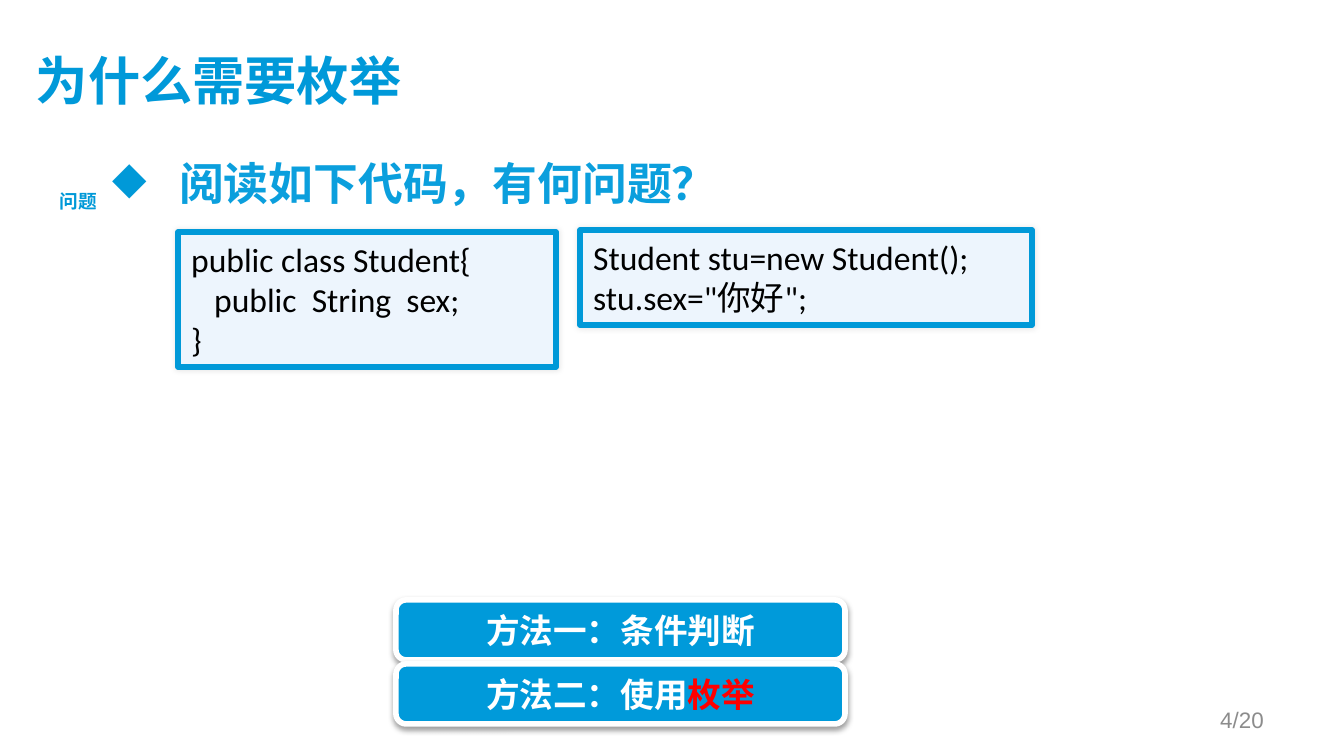
from lxml.etree import SubElement
from pptx import Presentation
from pptx.dml.color import RGBColor
from pptx.enum.shapes import MSO_SHAPE
from pptx.enum.text import MSO_ANCHOR, PP_ALIGN
from pptx.oxml.ns import qn
from pptx.util import Emu, Pt

EMU_PER_PX = 914400 / 134.4
TITLE_BLUE = RGBColor(0x00, 0x99, 0xD9)
BLUE = RGBColor(0x00, 0x99, 0xD8)
QUESTION_BLUE = RGBColor(0x0B, 0x9F, 0xDD)
METHOD_BLUE = RGBColor(0x00, 0x9A, 0xDA)
PALE_BLUE = RGBColor(0xED, 0xF5, 0xFD)
WHITE = RGBColor(0xFF, 0xFF, 0xFF)
BLACK = RGBColor(0x00, 0x00, 0x00)
RED = RGBColor(0xFF, 0x00, 0x00)
GREY = RGBColor(0x8C, 0x8C, 0x8C)
CJK_FONT = "Noto Sans CJK SC"


def px(length):
    return Emu(round(length * EMU_PER_PX))


def set_all(target, values):
    for name, value in values.items():
        setattr(target, name, value)


def add_run(paragraph, text, color, **font_format):
    run = paragraph.add_run()
    run.text = text
    set_all(run.font, font_format)
    run.font.color.rgb = color
    SubElement(run.font._element, qn("a:ea"), typeface=CJK_FONT)


def add_label(slide, box, text, color, font, frame=None, align=PP_ALIGN.LEFT):
    label = slide.shapes.add_textbox(*map(px, box))
    set_all(label.text_frame, {"word_wrap": True, **(frame or {})})
    paragraph = label.text_frame.paragraphs[0]
    paragraph.alignment = align
    add_run(paragraph, text, color, **font)
    return paragraph


def add_bullet(paragraph, char, color, indent):
    properties = paragraph._p.get_or_add_pPr()
    properties.set("marL", str(px(indent)))
    properties.set("indent", str(-px(indent)))
    bullet_color = SubElement(properties, qn("a:buClr"))
    SubElement(bullet_color, qn("a:srgbClr"), val=str(color))
    SubElement(properties, qn("a:buChar"), char=char)


def add_shadow(shape, opacity, blur, distance, angle):
    shape.shadow.inherit = False
    effects = shape._element.spPr.find(qn("a:effectLst"))
    shadow = SubElement(effects, qn("a:outerShdw"), blurRad=str(Pt(blur)),
                        dist=str(Pt(distance)), dir=str(angle * 60000),
                        algn="ctr", rotWithShape="0")
    shade = SubElement(shadow, qn("a:srgbClr"), val=str(BLACK))
    SubElement(shade, qn("a:alpha"), val=str(opacity * 1000))


def add_panel(slide, box, rounding, fill, border, shadow):
    panel = slide.shapes.add_shape(MSO_SHAPE.ROUNDED_RECTANGLE, *map(px, box))
    panel.adjustments[0] = rounding
    panel.fill.solid()
    panel.fill.fore_color.rgb = fill
    panel.line.color.rgb = border
    panel.line.width = Pt(3)
    add_shadow(panel, *shadow)
    return panel.text_frame


def add_code(slide, box, lines):
    frame = add_panel(slide, box, 0, PALE_BLUE, BLUE, (10, 3, 0, 0))
    frame.vertical_anchor = MSO_ANCHOR.TOP
    for number, (text, indent) in enumerate(lines):
        paragraph = frame.add_paragraph() if number else frame.paragraphs[0]
        paragraph.alignment = PP_ALIGN.LEFT
        paragraph._p.get_or_add_pPr().set("marL", str(px(indent)))
        add_run(paragraph, text, BLACK, size=Pt(18), name="Calibri")


def add_method(slide, box, parts):
    frame = add_panel(slide, box, 0.17, METHOD_BLUE, WHITE, (38, 3.1, 1.6, 90))
    frame.vertical_anchor = MSO_ANCHOR.MIDDLE
    frame.paragraphs[0].alignment = PP_ALIGN.CENTER
    for text, color in parts:
        add_run(frame.paragraphs[0], text, color,
                size=Pt(18), name="Calibri", bold=True)


def main():
    presentation = Presentation()
    set_all(presentation, {"slide_width": px(1344), "slide_height": px(756)})
    slide = presentation.slides.add_slide(presentation.slide_layouts[6])

    # Title and question
    add_label(slide, (36, 31, 1203, 103), "为什么需要枚举", TITLE_BLUE,
              {"size": Pt(28), "name": CJK_FONT, "bold": True},
              {"vertical_anchor": MSO_ANCHOR.MIDDLE,
               "margin_left": 0, "margin_top": 0})
    question = add_label(slide, (99, 149, 1141, 499), "阅读如下代码，有何问题？",
                         QUESTION_BLUE,
                         {"size": Pt(24), "name": CJK_FONT, "bold": True})
    add_bullet(question, "◆", BLUE, 67)

    # Code samples
    add_code(slide, (178, 232, 378, 135),
             [("public class Student{", 0), ("public  String  sex;", 23), ("}", 0)])
    add_code(slide, (580, 230, 452, 95),
             [("Student stu=new Student();", 0), ("stu.sex=\"你好\";", 0)])

    # Two methods
    methods = [[("方法一：条件判断", WHITE)],
               [("方法二：使用", WHITE), ("枚举", RED)]]
    for row, parts in enumerate(methods):
        add_method(slide, (396, 600 + 64 * row, 449, 60), parts)

    # Page number and side label
    add_label(slide, (964, 700, 313, 40), "4/20", GREY,
              {"size": Pt(12), "name": "Arial"},
              {"vertical_anchor": MSO_ANCHOR.MIDDLE}, PP_ALIGN.RIGHT)
    add_label(slide, (46, 183, 65, 36), "问题", BLUE,
              {"size": Pt(10), "name": "Arial", "bold": True},
              {"word_wrap": False}, PP_ALIGN.CENTER)

    presentation.save("out.pptx")


if __name__ == "__main__":
    main()
